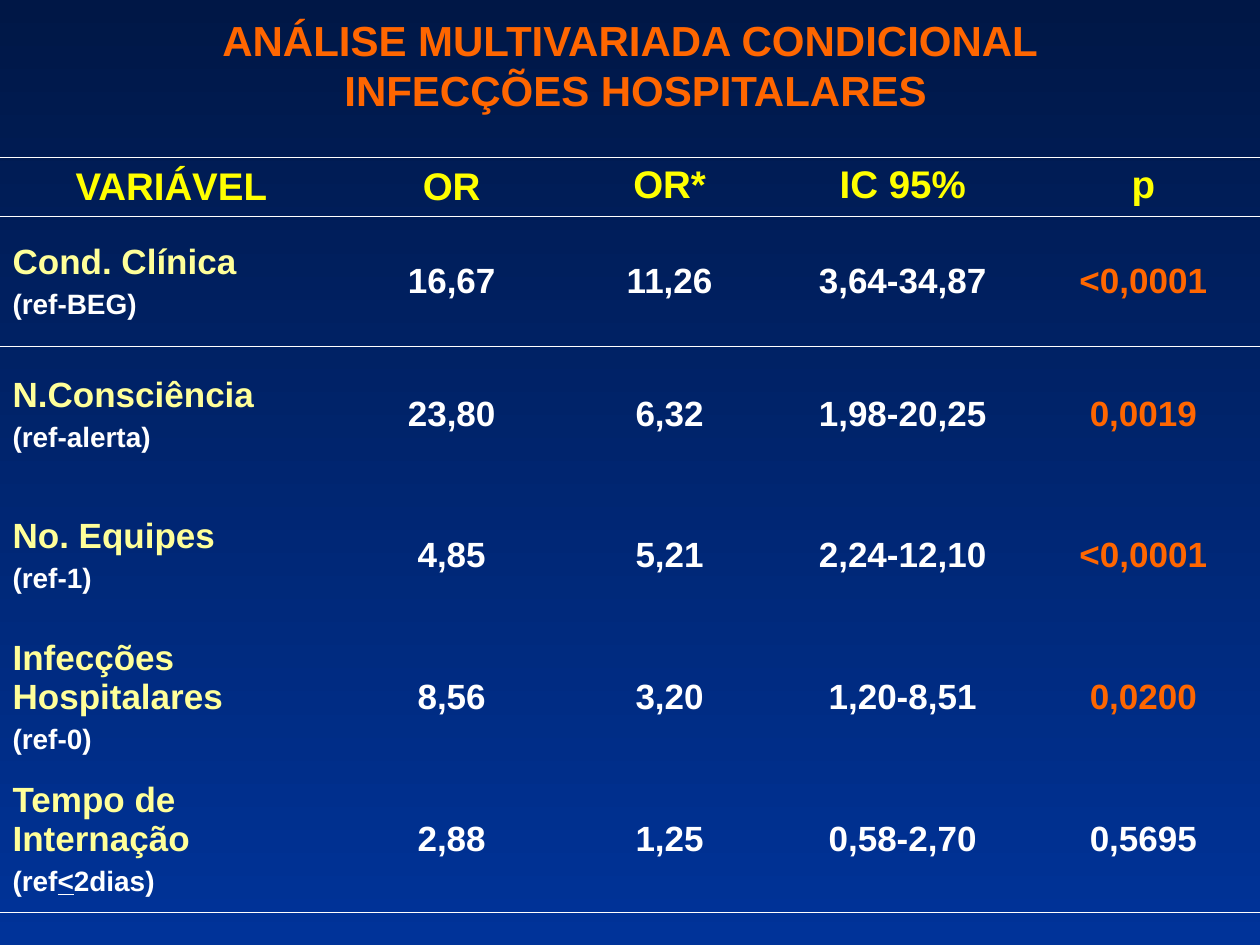
from lxml import etree
from pptx import Presentation
from pptx.dml.color import RGBColor
from pptx.enum.text import MSO_ANCHOR, PP_ALIGN
from pptx.oxml.ns import qn
from pptx.util import Inches, Pt

COLORS = {
    "top": "001746", "bottom": "003399", "accent": "FF6600",
    "header": "FFFF00", "variable": "FFFF99", "text": "FFFFFF",
}
NO_STYLE = "{2D5ABB26-0587-4C30-8999-92F81FD0307C}"
COL_WIDTHS = [2.72, 1.73, 1.73, 1.97, 1.85]
ROW_HEIGHTS = [0.47, 1.03, 1.08, 1.16, 1.09, 1.16]
HEADERS = ["VARIÁVEL", "OR", "OR*", "IC 95%", "p"]
# variable, runs of its reference, values, whether p is significant
ROWS = [
    ("Cond. Clínica", ["(ref-BEG)"], ["16,67", "11,26", "3,64-34,87", "<0,0001"], True),
    ("N.Consciência", ["(ref-alerta)"], ["23,80", "6,32", "1,98-20,25", "0,0019"], True),
    ("No. Equipes", ["(ref-1)"], ["4,85", "5,21", "2,24-12,10", "<0,0001"], True),
    ("Infecções Hospitalares", ["(ref-0)"], ["8,56", "3,20", "1,20-8,51", "0,0200"], True),
    ("Tempo de Internação", ["(ref", "<", "2dias)"], ["2,88", "1,25", "0,58-2,70", "0,5695"], False),
]


def rgb(name):
    return RGBColor.from_string(COLORS[name])


def add_text(p, text, size=20, color="text", align=PP_ALIGN.CENTER, underline=None):
    """Add a bold run to a paragraph; a newline becomes a line break."""
    p.alignment = align
    for i, line in enumerate(text.split("\n")):
        if i:
            p.add_line_break()
        r = p.add_run()
        r.text = line
        r.font.name = "Arial"
        r.font.size = Pt(size)
        r.font.bold = True
        r.font.underline = underline
        r.font.color.rgb = rgb(color)


def set_background(s):
    fill = s.background.fill
    fill.gradient()
    fill.gradient_angle = 270
    for stop, name in zip(fill.gradient_stops, ("top", "bottom")):
        stop.color.rgb = rgb(name)


def set_title(s, text):
    sp = s.shapes.title
    sp.left, sp.top = Inches(-0.35), Inches(-0.11)
    sp.width, sp.height = Inches(10.79), Inches(1.25)
    tf = sp.text_frame
    tf.word_wrap = True
    tf.vertical_anchor = MSO_ANCHOR.MIDDLE
    add_text(tf.paragraphs[0], text, size=24, color="accent")


def format_cell(cell, edges, anchor=MSO_ANCHOR.MIDDLE):
    """Rule the named edges, then clear the fill, in schema order."""
    cell.vertical_anchor = anchor
    cell.margin_left = cell.margin_right = Inches(0.1)
    cell.margin_top = cell.margin_bottom = Inches(0.05)
    tc_pr = cell._tc.get_or_add_tcPr()
    for edge in edges:
        ln = etree.SubElement(tc_pr, qn(f"a:{edge}"), w=str(Pt(0.45)))
        fill = etree.SubElement(ln, qn("a:solidFill"))
        etree.SubElement(fill, qn("a:srgbClr"), val=COLORS["text"])
    cell.fill.background()


def fill_variable(cell, variable, reference):
    tf = cell.text_frame
    add_text(tf.paragraphs[0], variable, color="variable", align=PP_ALIGN.LEFT)
    p = tf.add_paragraph()
    p.space_before = Pt(4)
    for part in reference:
        add_text(p, part, size=16, align=PP_ALIGN.LEFT,
                 underline=True if part == "<" else None)


def add_results_table(s):
    frame = s.shapes.add_table(
        len(ROW_HEIGHTS), len(COL_WIDTHS), Inches(0), Inches(1.25),
        Inches(sum(COL_WIDTHS)), Inches(sum(ROW_HEIGHTS)))
    table = frame.table
    table.first_row = table.horz_banding = False
    table._tbl.tblPr.find(qn("a:tableStyleId")).text = NO_STYLE
    for col, width in zip(table.columns, COL_WIDTHS):
        col.width = Inches(width)
    for row, height in zip(table.rows, ROW_HEIGHTS):
        row.height = Inches(height)

    for c, header in enumerate(HEADERS):
        cell = table.cell(0, c)
        format_cell(cell, ["lnT", "lnB"], MSO_ANCHOR.MIDDLE if c < 2 else MSO_ANCHOR.TOP)
        add_text(cell.text_frame.paragraphs[0], header, size=22, color="header")

    for r, (variable, reference, values, significant) in enumerate(ROWS, 1):
        edges = {1: ["lnT"], len(ROWS): ["lnB"]}.get(r, [])
        for c in range(len(COL_WIDTHS)):
            format_cell(table.cell(r, c), edges)
        fill_variable(table.cell(r, 0), variable, reference)
        for c, value in enumerate(values, 1):
            is_p = c == len(values)
            add_text(table.cell(r, c).text_frame.paragraphs[0], value,
                     color="accent" if is_p and significant else "text")


def main():
    prs = Presentation()
    prs.slide_width, prs.slide_height = Inches(10), Inches(7.5)
    s = prs.slides.add_slide(prs.slide_layouts[5])
    set_background(s)
    set_title(s, "ANÁLISE MULTIVARIADA CONDICIONAL \nINFECÇÕES HOSPITALARES")
    add_results_table(s)
    prs.save("out.pptx")


if __name__ == "__main__":
    main()
